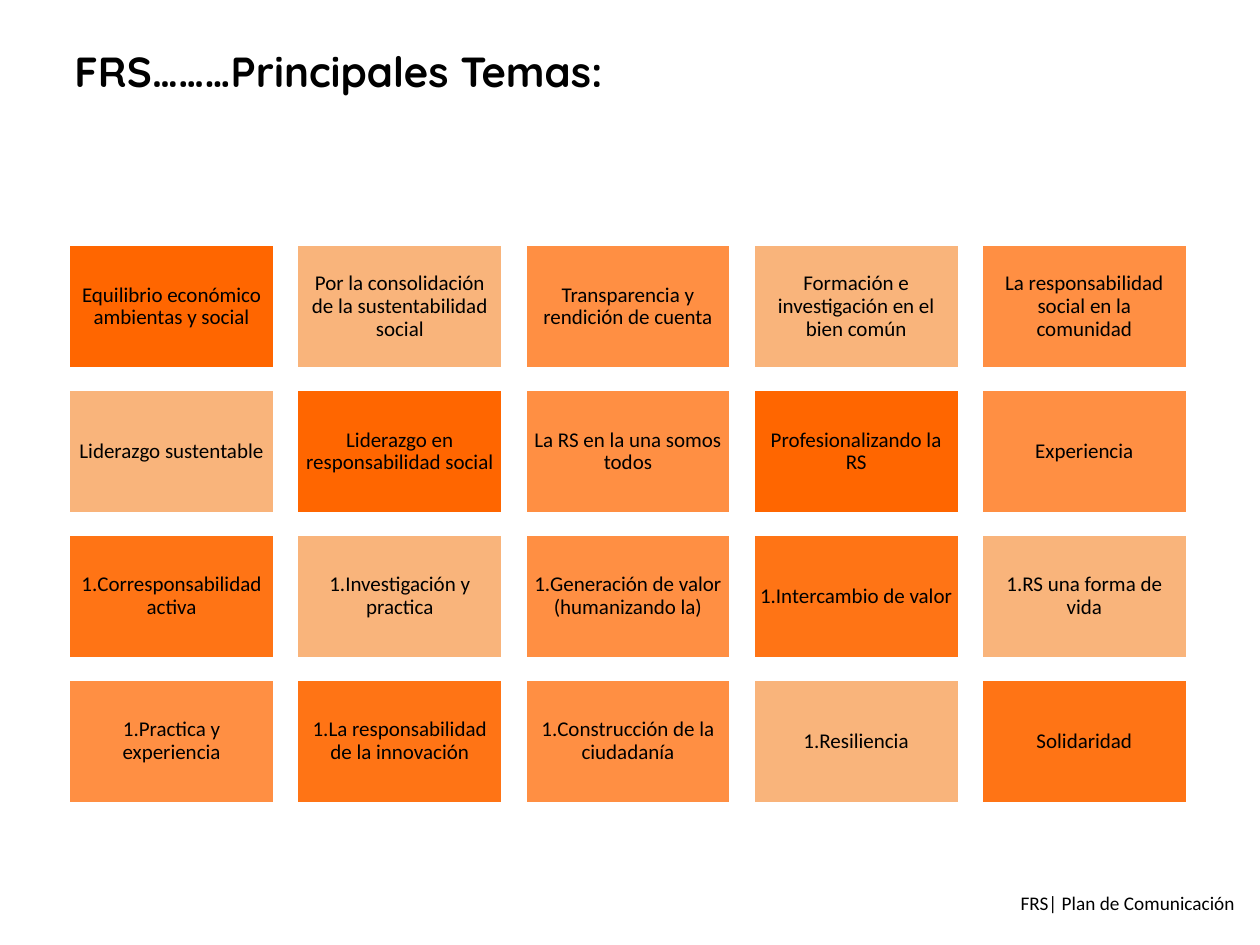
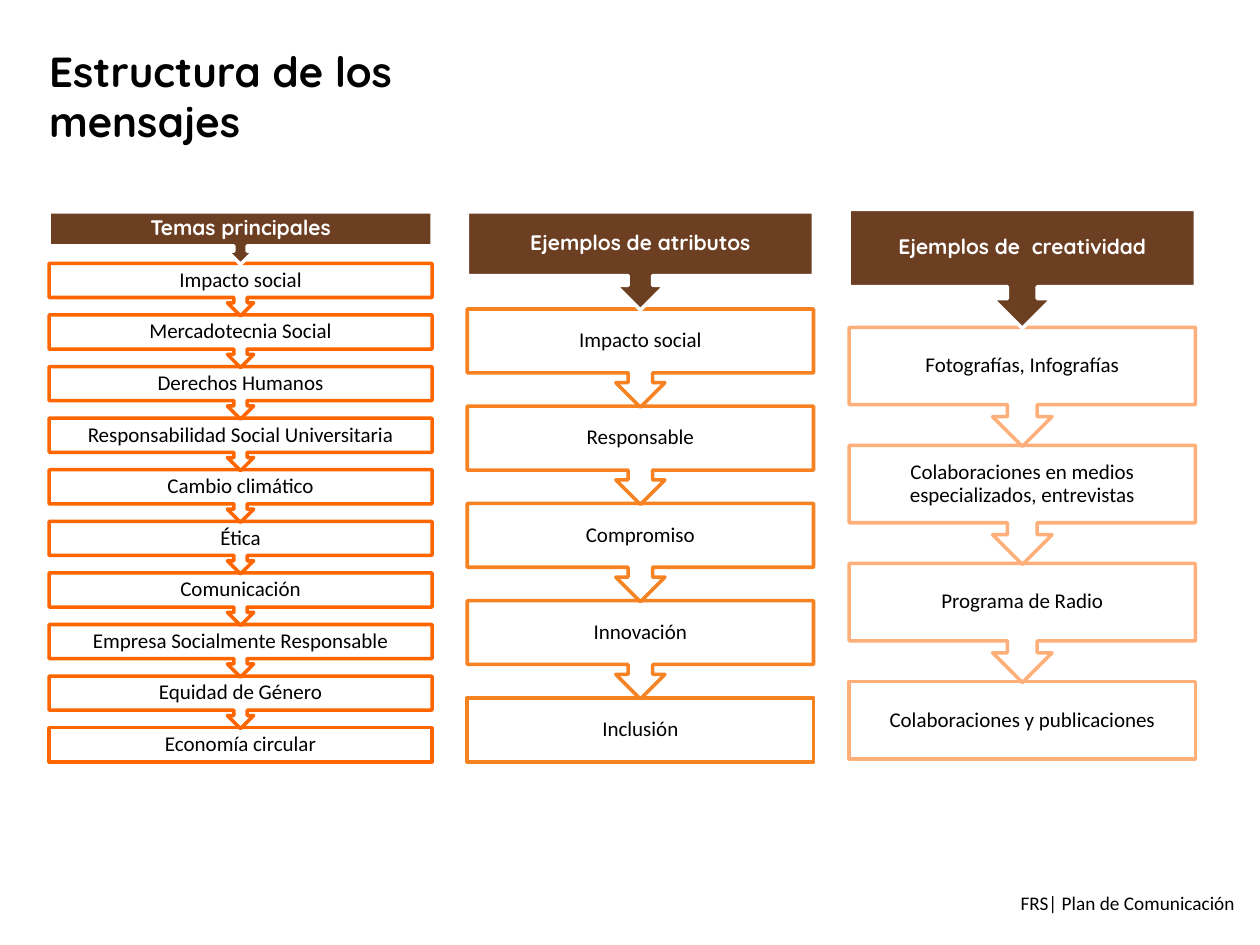
from dataclasses import dataclass

from lxml import etree
from pptx import Presentation
from pptx.dml.color import RGBColor
from pptx.enum.shapes import MSO_SHAPE
from pptx.enum.text import MSO_ANCHOR, MSO_AUTO_SIZE, PP_ALIGN
from pptx.oxml.ns import qn
from pptx.util import Cm, Pt

RECTANGLE = MSO_SHAPE.RECTANGLE
DOWN_CALLOUT = MSO_SHAPE.DOWN_ARROW_CALLOUT
TOP, MIDDLE, BOTTOM = MSO_ANCHOR.TOP, MSO_ANCHOR.MIDDLE, MSO_ANCHOR.BOTTOM
LEFT, CENTER = PP_ALIGN.LEFT, PP_ALIGN.CENTER
NO_AUTOFIT = MSO_AUTO_SIZE.NONE
TITLE_ONLY = 5

BLACK, WHITE, BROWN = "000000", "FFFFFF", "6C3F22"
VIVID, STRONG, MEDIUM, PALE = "FF6600", "FF7415", "FF8F43", "F9B47B"
AMBER, PEACH = "F68222", "FFAF79"

TITLE_FONT = {"name": "Quicksand", "size": Pt(24), "bold": True}
HEADER_FONT = {"name": "Quicksand", "size": Pt(12), "bold": True}
BODY_FONT = {"name": "Calibri", "size": Pt(12)}
FOOTER_FONT = {"name": "Calibri", "size": Pt(11)}

GRID_LEFT, GRID_TOP = 1.38, 4.93
TILE_WIDTH, TILE_HEIGHT = 4.16, 2.51
TILE_PITCH_X, TILE_PITCH_Y = 4.6, 2.92
BODY_SHARE = 0.65  # part of a callout taken by its box
CALLOUT_OVERLAP = 0.02


@dataclass
class Tile:
    text: str
    fill: str
    numbered: bool = False


@dataclass
class MessageColumn:
    """A chain of callouts; lengths in centimetres."""
    header: str
    messages: list[str]
    line: str
    left: float
    top: float
    width: float
    pitch: float


@dataclass
class Box:
    """Place of a shape in centimetres."""
    left: float
    top: float
    width: float
    height: float

    def lengths(self) -> list[Cm]:
        return [Cm(value) for value in (self.left, self.top, self.width, self.height)]


TILE_ROWS = [
    [
        Tile("Equilibrio económico ambientas y social", VIVID),
        Tile("Por la consolidación de la sustentabilidad social", PALE),
        Tile("Transparencia y rendición de cuenta", MEDIUM),
        Tile("Formación e investigación en el bien común", PALE),
        Tile("La responsabilidad social en la comunidad", MEDIUM),
    ],
    [
        Tile("Liderazgo sustentable", PALE),
        Tile("Liderazgo en responsabilidad social", VIVID),
        Tile("La RS en la una somos todos", MEDIUM),
        Tile("Profesionalizando la RS", VIVID),
        Tile("Experiencia", MEDIUM),
    ],
    [
        Tile("Corresponsabilidad activa", STRONG, True),
        Tile("Investigación y practica", PALE, True),
        Tile("Generación de valor (humanizando la)", MEDIUM, True),
        Tile("Intercambio de valor", STRONG, True),
        Tile("RS una forma de vida", PALE, True),
    ],
    [
        Tile("Practica y experiencia", MEDIUM, True),
        Tile("La responsabilidad de la innovación", STRONG, True),
        Tile("Construcción de la ciudadanía", MEDIUM, True),
        Tile("Resiliencia", PALE, True),
        Tile("Solidaridad", STRONG),
    ],
]

MESSAGE_COLUMNS = [
    MessageColumn(
        "Temas principales",
        ["Impacto social", "Mercadotecnia Social", "Derechos Humanos",
         "Responsabilidad Social Universitaria", "Cambio climático", "Ética",
         "Comunicación", "Empresa Socialmente Responsable", "Equidad de Género",
         "Economía circular"],
        VIVID, left=0.99, top=4.27, width=7.72, pitch=1.04),
    MessageColumn(
        "Ejemplos de atributos",
        ["Impacto social", "Responsable", "Compromiso", "Innovación", "Inclusión"],
        AMBER, left=9.42, top=4.27, width=6.98, pitch=1.96),
    MessageColumn(
        "Ejemplos de  creatividad",
        ["Fotografías, Infografías", "Colaboraciones en medios especializados, entrevistas",
         "Programa de Radio", "Colaboraciones y publicaciones"],
        PEACH, left=17.12, top=4.22, width=6.98, pitch=2.38),
]


def rgb(value: str) -> RGBColor:
    return RGBColor.from_string(value)


def apply(target, values: dict) -> None:
    for name, value in values.items():
        setattr(target, name, value)


def write(shape, text: str, font: dict, color: str, align=CENTER, anchor=MIDDLE,
          inset: tuple[float, float] = (0.13, 0.13), spacing: float = 1.0):
    """Fill a shape with one paragraph; inset is horizontal, vertical in cm."""
    horizontal, vertical = (Cm(value) for value in inset)
    frame = shape.text_frame
    apply(frame, {
        "word_wrap": True, "auto_size": NO_AUTOFIT, "vertical_anchor": anchor,
        "margin_left": horizontal, "margin_right": horizontal,
        "margin_top": vertical, "margin_bottom": vertical,
    })
    paragraph = frame.paragraphs[0]
    apply(paragraph, {"alignment": align, "line_spacing": spacing})
    run = paragraph.add_run()
    run.text = text
    apply(run.font, font)
    run.font.color.rgb = rgb(color)
    return paragraph


def add_box(slide, kind, box: Box, fill: str | None, line: str | None):
    shape = slide.shapes.add_shape(kind, *box.lengths())
    shape.shadow.inherit = False
    if fill:
        shape.fill.solid()
        shape.fill.fore_color.rgb = rgb(fill)
    else:
        shape.fill.background()
    if line:
        shape.line.color.rgb = rgb(line)
        shape.line.width = Pt(2)
    else:
        shape.line.fill.background()
    return shape


def number_paragraph(paragraph) -> None:
    properties = paragraph._p.get_or_add_pPr()
    properties.set("marL", "0")
    properties.set("indent", "0")
    etree.SubElement(properties, qn("a:buAutoNum"), type="arabicPeriod")


def add_titled_slide(presentation, title: str, left: float, width: float):
    slide = presentation.slides.add_slide(presentation.slide_layouts[TITLE_ONLY])
    footer = add_box(slide, RECTANGLE, Box(20.07, 16.92, 5.33, 1.65), WHITE, None)
    write(footer, "FRS| Plan de Comunicación", FOOTER_FONT, BLACK, anchor=BOTTOM)
    placeholder = slide.shapes.title
    place = Box(left, 0.81, width, 1.22).lengths()
    apply(placeholder, dict(zip(("left", "top", "width", "height"), place)))
    write(placeholder, title, TITLE_FONT, BLACK, LEFT, TOP, (0.18, 0.1))
    return slide


def draw_tiles(slide) -> None:
    for row, tiles in enumerate(TILE_ROWS):
        for column, tile in enumerate(tiles):
            box = Box(GRID_LEFT + column * TILE_PITCH_X, GRID_TOP + row * TILE_PITCH_Y,
                      TILE_WIDTH, TILE_HEIGHT)
            shape = add_box(slide, RECTANGLE, box, tile.fill, WHITE)
            paragraph = write(shape, tile.text, BODY_FONT, BLACK, spacing=0.9)
            if tile.numbered:
                number_paragraph(paragraph)


def draw_message_column(slide, column: MessageColumn) -> None:
    """Draw from the bottom up, so that each arrow tip covers the box below."""
    texts = [column.header, *column.messages]
    last = len(texts) - 1
    callout_height = column.pitch + CALLOUT_OVERLAP
    for index in range(last, -1, -1):
        is_header, is_last = index == 0, index == last
        height = callout_height * BODY_SHARE if is_last else callout_height
        box = Box(column.left, column.top + index * column.pitch, column.width, height)
        shape = add_box(slide, RECTANGLE if is_last else DOWN_CALLOUT, box,
                        BROWN if is_header else None, WHITE if is_header else column.line)
        write(shape, texts[index], HEADER_FONT if is_header else BODY_FONT,
              WHITE if is_header else BLACK, inset=(0.23, 0.05), spacing=0.9)


def main() -> None:
    presentation = Presentation()
    presentation.slide_width, presentation.slide_height = Cm(25.4), Cm(19.05)

    topics = add_titled_slide(presentation, "FRS………Principales Temas:", 1.32, 12.4)
    draw_tiles(topics)

    structure = add_titled_slide(presentation, "Estructura de los mensajes", 0.81, 10.2)
    for column in MESSAGE_COLUMNS:
        draw_message_column(structure, column)

    presentation.save("out.pptx")


if __name__ == "__main__":
    main()
